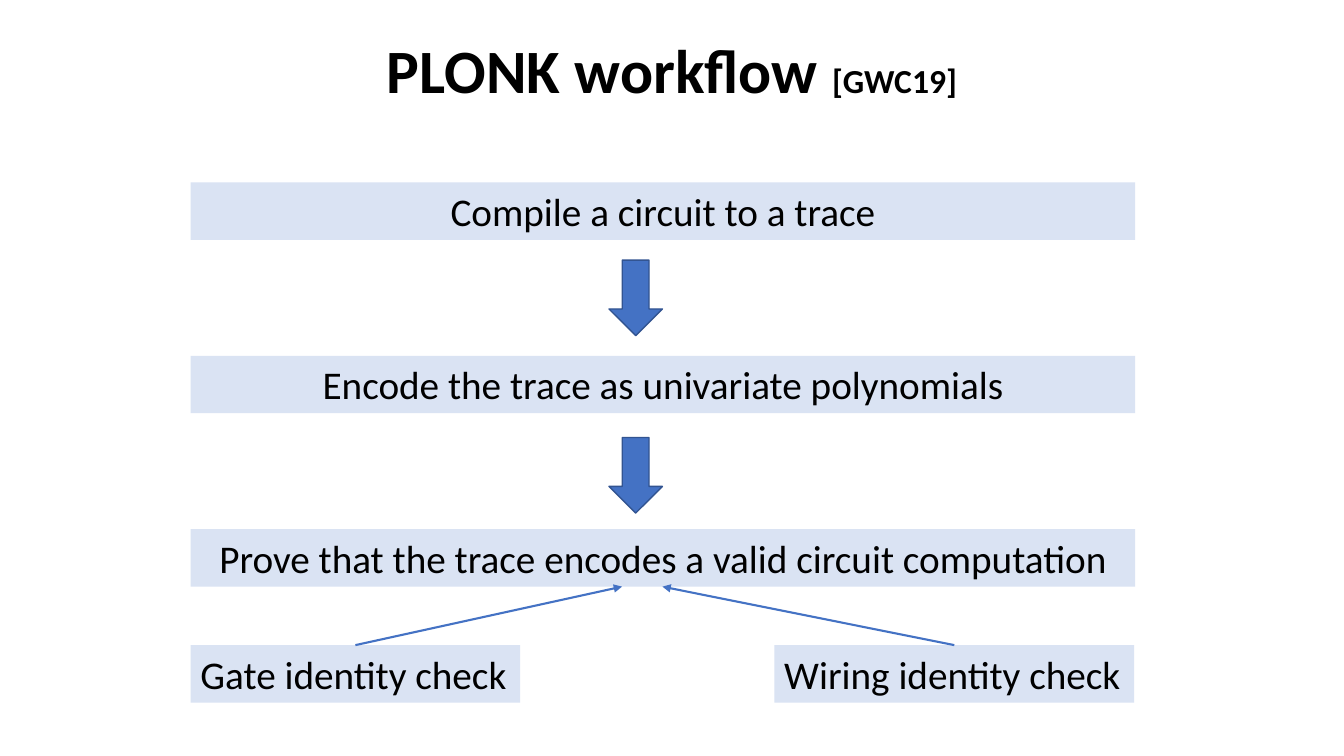
import pptx
import pptx.util
import pptx.dml.color
import pptx.enum.text
import pptx.enum.shapes
import pptx.oxml

TITLE = [("PLONK workflow ", 44), ("[GWC19]", 24)]
STEPS = [
    "Compile a circuit to a trace",
    "Encode the trace as univariate polynomials",
    "Prove that the trace encodes a valid circuit computation",
]
CHECKS = [
    {"label": "Gate identity check", "left": 1.89, "width": 3.27, "target": 6.17},
    {"label": "Wiring identity check", "left": 7.68, "width": 3.57, "target": 6.57},
]

BLACK = pptx.dml.color.RGBColor(0x00, 0x00, 0x00)
PALE_BLUE = pptx.dml.color.RGBColor(0xDA, 0xE3, 0xF3)
BLUE = pptx.dml.color.RGBColor(0x44, 0x72, 0xC4)
DARK_BLUE = pptx.dml.color.RGBColor(0x32, 0x54, 0x91)

SLIDE_WIDTH, SLIDE_HEIGHT = 13.33, 7.5
TITLE_HEIGHT = 1.45
BAR_LEFT, BAR_WIDTH, BAR_HEIGHT = 1.89, 9.37, 0.57
FIRST_STEP, STEP_PITCH = 1.81, 1.72
ARROW_LEFT, ARROW_WIDTH, ARROW_HEIGHT = 6.04, 0.53, 0.75
FIRST_ARROW, ARROW_PITCH = 2.58, 1.76
CHECK_TOP = 6.4

ALIGN = pptx.enum.text.PP_ALIGN
AUTOFIT = pptx.enum.text.MSO_AUTO_SIZE
ANCHOR = pptx.enum.text.MSO_ANCHOR
SHAPE = pptx.enum.shapes.MSO_SHAPE
inches = pptx.util.Inches


def write(frame, runs, align=ALIGN.CENTER, bold=False, wrap=True,
          anchor=ANCHOR.TOP, autofit=AUTOFIT.SHAPE_TO_FIT_TEXT, spacing=1.0):
    frame.word_wrap = wrap
    frame.auto_size = autofit
    frame.vertical_anchor = anchor
    line = frame.paragraphs[0]
    line.alignment = align
    line.line_spacing = spacing
    for words, size in runs:
        run = line.add_run()
        run.text = words
        run.font.name = "Calibri"
        run.font.size = pptx.util.Pt(size)
        run.font.bold = bold
        run.font.color.rgb = BLACK


def add_bar(slide, label, left, top, width, **text_format):
    bar = slide.shapes.add_shape(
        SHAPE.RECTANGLE, inches(left), inches(top), inches(width), inches(BAR_HEIGHT))
    bar.shadow.inherit = False
    bar.fill.solid()
    bar.fill.fore_color.rgb = PALE_BLUE
    bar.line.fill.background()
    write(bar.text_frame, [(label, 28)], **text_format)
    return bar


def add_down_arrow(slide, top):
    arrow = slide.shapes.add_shape(
        SHAPE.DOWN_ARROW, inches(ARROW_LEFT), inches(top),
        inches(ARROW_WIDTH), inches(ARROW_HEIGHT))
    arrow.shadow.inherit = False
    arrow.fill.solid()
    arrow.fill.fore_color.rgb = BLUE
    arrow.line.color.rgb = DARK_BLUE
    arrow.line.width = pptx.util.Pt(1)


def link_check(slide, check_bar, target, target_top):
    link = slide.shapes.add_connector(
        pptx.enum.shapes.MSO_CONNECTOR.STRAIGHT,
        check_bar.left + check_bar.width // 2, check_bar.top,
        inches(target), inches(target_top))
    link.begin_connect(check_bar, 0)
    link.line.color.rgb = BLUE
    link.line.width = pptx.util.Pt(1.5)
    namespace = pptx.oxml.ns.nsdecls("a")
    link.line._get_or_add_ln().append(
        pptx.oxml.parse_xml(f'<a:tailEnd {namespace} type="triangle"/>'))
    link._element.spPr.append(pptx.oxml.parse_xml(f"<a:effectLst {namespace}/>"))


def main():
    deck = pptx.Presentation()
    deck.slide_width = inches(SLIDE_WIDTH)
    deck.slide_height = inches(SLIDE_HEIGHT)
    slide = deck.slides.add_slide(deck.slide_layouts[5])

    title = slide.shapes.title
    title.left, title.top = 0, 0
    title.width, title.height = inches(SLIDE_WIDTH), inches(TITLE_HEIGHT)
    write(title.text_frame, TITLE, bold=True, anchor=ANCHOR.MIDDLE,
          autofit=AUTOFIT.NONE, spacing=0.9)

    for row, step in enumerate(STEPS):
        add_bar(slide, step, BAR_LEFT, FIRST_STEP + row * STEP_PITCH, BAR_WIDTH)
    for row in range(len(STEPS) - 1):
        add_down_arrow(slide, FIRST_ARROW + row * ARROW_PITCH)

    proof_bottom = FIRST_STEP + (len(STEPS) - 1) * STEP_PITCH + BAR_HEIGHT
    for check in CHECKS:
        check_bar = add_bar(slide, check["label"], check["left"], CHECK_TOP,
                            check["width"], align=ALIGN.LEFT, wrap=False)
        link_check(slide, check_bar, check["target"], proof_bottom)

    deck.save("out.pptx")


if __name__ == "__main__":
    main()
